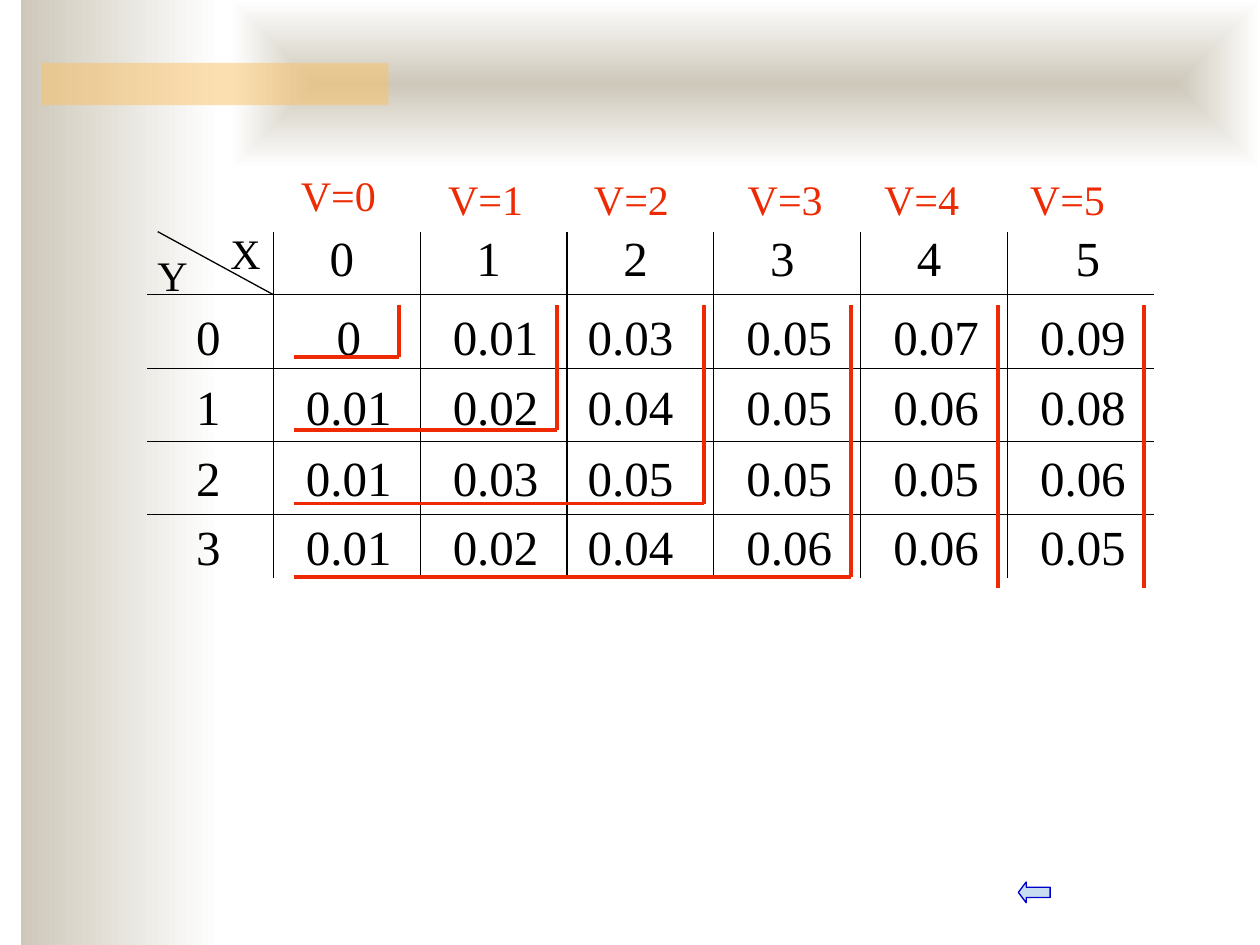
from lxml import etree
from pptx import Presentation
from pptx.dml.color import RGBColor
from pptx.enum.shapes import MSO_CONNECTOR, MSO_SHAPE
from pptx.enum.text import MSO_ANCHOR, PP_ALIGN
from pptx.oxml import parse_xml
from pptx.oxml.ns import nsdecls, qn
from pptx.util import Cm, Pt

BLACK = RGBColor(0x00, 0x00, 0x00)
RED = RGBColor(0xED, 0x2A, 0x03)
SAND = RGBColor(0xCE, 0xC8, 0xBA)
WHITE = RGBColor(0xFF, 0xFF, 0xFF)
ORANGE = RGBColor(0xFA, 0xC1, 0x64)
PALE_BLUE = RGBColor(0xC9, 0xDD, 0xF1)
BLUE = RGBColor(0x00, 0x00, 0xCC)
FONT = "Times New Roman"
NO_GRID_STYLE = "{2D5ABB26-0587-4C30-8999-92F81FD0307C}"

deck = Presentation()
deck.slide_width, deck.slide_height = Cm(25.4), Cm(19.05)
page = deck.slides.add_slide(deck.slide_layouts[6])


def add_line(x1, y1, x2, y2, color, width):
    line = page.shapes.add_connector(
        MSO_CONNECTOR.STRAIGHT, Cm(x1), Cm(y1), Cm(x2), Cm(y2))
    line.line.color.rgb = color
    line.line.width = Pt(width)
    etree.SubElement(line._element.spPr, qn("a:effectLst"))


def add_label(text, left, top, width, color):
    box = page.shapes.add_textbox(Cm(left), Cm(top), Cm(width), Cm(1.27))
    box.text_frame.margin_left = box.text_frame.margin_right = 0
    box.text_frame.word_wrap = False
    box.text_frame.text = text
    para = box.text_frame.paragraphs[0]
    para.alignment = PP_ALIGN.CENTER
    span = para.runs[0]
    span.font.name, span.font.size = FONT, Pt(24)
    span.font.color.rgb = color


decor = []
for kind, left, top, width, height in [
    (MSO_SHAPE.RECTANGLE, 0.42, 0, 4.02, 19.05),
    (MSO_SHAPE.RECTANGLE, 4.66, 0, 20.74, 3.39),
    (MSO_SHAPE.RECTANGLE, 0.85, 1.27, 6.98, 0.85),
    (MSO_SHAPE.LEFT_ARROW, 20.53, 17.78, 0.64, 0.42),
]:
    shape = page.shapes.add_shape(kind, Cm(left), Cm(top), Cm(width), Cm(height))
    shape.shadow.inherit = False
    shape.line.fill.background()
    decor.append(shape)
side_band, top_band, accent_bar, back_arrow = decor

for band in (side_band, top_band):
    band.fill.gradient()
    band.fill.gradient_angle = 0
    for stop, color, position in zip(band.fill.gradient_stops, (SAND, WHITE), (0, 1)):
        stop.color.rgb = color
        stop.position = position

linear = top_band._element.spPr.find(".//" + qn("a:lin"))
linear.getparent().replace(linear, parse_xml(
    f'<a:path {nsdecls("a")} path="rect">'
    '<a:fillToRect l="50000" t="50000" r="50000" b="50000"/></a:path>'))

accent_bar.fill.solid()
accent_bar.fill.fore_color.rgb = ORANGE
accent_color = accent_bar._element.spPr.find(".//" + qn("a:srgbClr"))
etree.SubElement(accent_color, qn("a:alpha"), val="50000")

back_arrow.fill.solid()
back_arrow.fill.fore_color.rgb = PALE_BLUE
back_arrow.line.color.rgb = BLUE
back_arrow.line.width = Pt(0.75)
back_arrow.adjustments[1] = 0.375

rows = [
    ["", "0", "1", "2", "3", "4", "5"],
    ["0", "0", "0.01", "0.03", "0.05", "0.07", "0.09"],
    ["1", "0.01", "0.02", "0.04", "0.05", "0.06", "0.08"],
    ["2", "0.01", "0.03", "0.05", "0.05", "0.05", "0.06"],
    ["3", "0.01", "0.02", "0.04", "0.06", "0.06", "0.05"],
]
column_widths = [2.54] + [2.96] * 6
row_heights = [1.27, 1.48, 1.48, 1.48, 1.27]
header_shifts = [0, -0.1, -0.1, -0.1, -0.1, -0.1, 0.14]
body_shifts = [-0.04, 0.04, 0.04, -0.2, 0.04, 0.04, 0.04]
top_margins = [0, 0.32, 0.16, 0.08, 0.1]
frame = page.shapes.add_table(len(rows), len(rows[0]), Cm(2.97), Cm(4.67),
                              Cm(sum(column_widths)), Cm(sum(row_heights)))
table = frame.table
table.first_row = table.horz_banding = False
table._tbl.tblPr.find(qn("a:tableStyleId")).text = NO_GRID_STYLE
for column, width in zip(table.columns, column_widths):
    column.width = Cm(width)
for row, height in zip(table.rows, row_heights):
    row.height = Cm(height)

for row_index, values in enumerate(rows):
    shifts = body_shifts if row_index else header_shifts
    for column_index, value in enumerate(values):
        cell = table.cell(row_index, column_index)
        shift = shifts[column_index]
        cell.margin_left = Cm(max(2 * shift, 0))
        cell.margin_right = Cm(max(-2 * shift, 0))
        cell.margin_top = Cm(top_margins[row_index])
        cell.margin_bottom = Cm(0 if row_index else 0.12)
        cell.vertical_anchor = MSO_ANCHOR.MIDDLE
        cell.fill.background()
        cell.text_frame.text = value
        para = cell.text_frame.paragraphs[0]
        para.alignment = PP_ALIGN.CENTER
        para.font.name, para.font.size = FONT, Pt(28)
        for span in para.runs:
            span.font.name, span.font.size = FONT, Pt(28)
            span.font.color.rgb = BLACK
        borders = []
        if column_index < len(values) - 1:
            borders.append("lnR")
        if row_index < len(rows) - 1:
            borders.append("lnB")
        for place, side in enumerate(borders):
            cell._tc.get_or_add_tcPr().insert(place, parse_xml(
                f'<a:{side} {nsdecls("a")} w="9525"><a:solidFill>'
                f'<a:srgbClr val="{BLACK}"/></a:solidFill></a:{side}>'))

add_line(3.18, 4.67, 5.51, 5.94, BLACK, 0.75)
add_label("X", 4.39, 4.47, 1.12, BLACK)
add_label("Y", 2.92, 4.9, 1.12, BLACK)

bracket_left, bracket_top = 5.92, 6.15
bracket_rights = [8.05] + [11.23 + 2.96 * step for step in range(5)]
for level, right in enumerate(bracket_rights):
    closed = level < 4
    bottom = 7.19 + 1.48 * level if closed else 11.86
    add_line(right, bracket_top, right, bottom, RED, 2.25)
    if closed:
        add_line(bracket_left, bottom, right, bottom, RED, 2.25)

label_lefts = [5.82, 8.79, 11.73, 14.83, 17.58, 20.52]
for level, left in enumerate(label_lefts):
    add_label(f"V={level}", left, 3.38 if level else 3.3, 2, RED)

deck.save("out.pptx")
